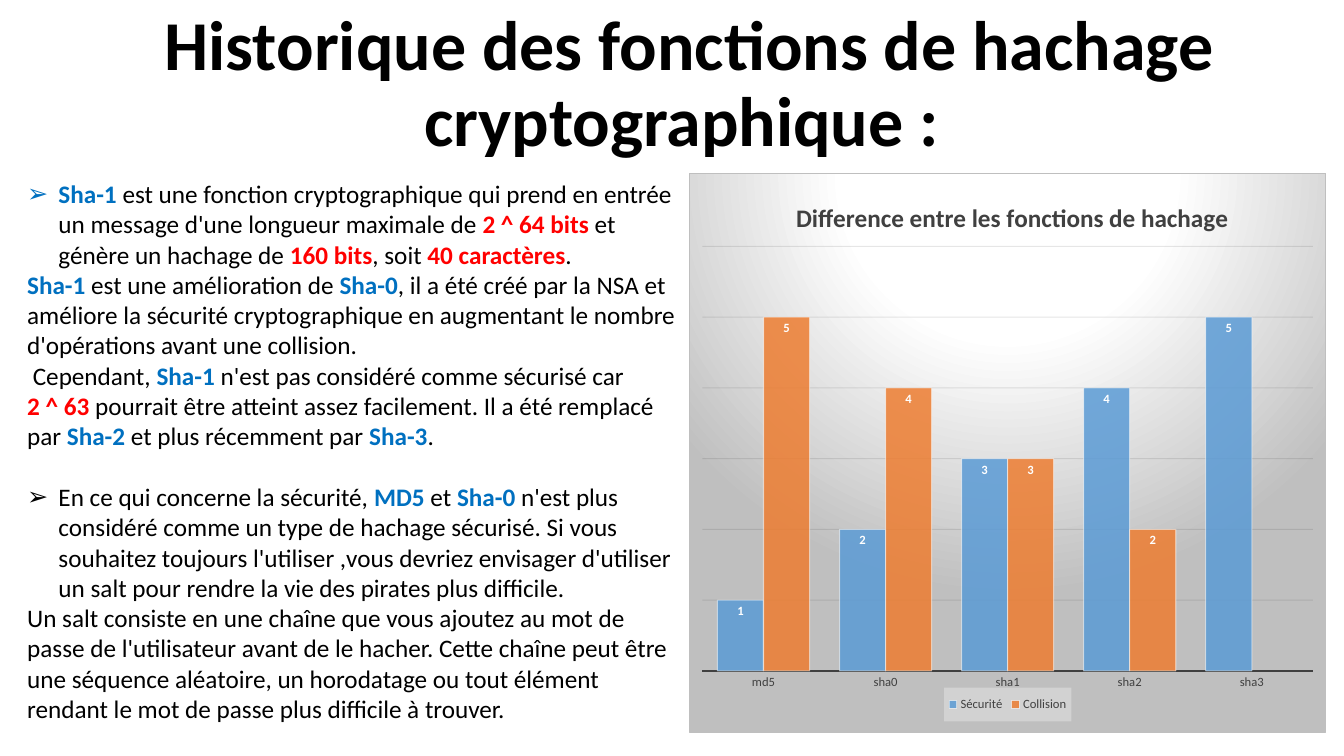
from pptx import Presentation
from pptx.chart.data import CategoryChartData
from pptx.dml.color import RGBColor
from pptx.enum import chart as ch, text
from pptx.oxml import parse_xml
from pptx.oxml.ns import nsdecls, qn
from pptx.util import Cm, Pt

FONT = "Calibri"
COLORS = {
    "black": "000000", "white": "FFFFFF", "blue": "0070C0", "red": "FF0000",
    "dark": "404040", "grid": "0D0D0D", "grey": "BFBFBF", "pale": "F2F2F2",
    "security": "5B9BD5", "collision": "ED7D31",
}
TITLE = "Historique des fonctions de hachage cryptographique : "
# Each paragraph: bullet shown, space before in points, runs (text, colour)
PARAGRAPHS = [
    (True, 0, [
        ("Sha-1 ", "blue"),
        ("est une fonction cryptographique qui prend en entrée un message "
         "d'une longueur maximale de ", "black"),
        ("2 ^ 64 bits ", "red"), ("et génère un hachage de ", "black"),
        ("160 bits", "red"), (", soit ", "black"),
        ("40 caractères", "red"), (".", "black")]),
    (False, 0, [
        ("Sha-1 ", "blue"), ("est une amélioration de ", "black"),
        ("Sha-0", "blue"),
        (", il a été créé par la NSA et améliore la sécurité cryptographique "
         "en augmentant le nombre d'opérations avant une collision.", "black")]),
    (False, 0, [
        (" Cependant, ", "black"), ("Sha-1 ", "blue"),
        ("n'est pas considéré comme sécurisé car", "black"), None,
        ("2 ^ 63 ", "red"),
        ("pourrait être atteint assez facilement. Il a été remplacé par ", "black"),
        ("Sha-2 ", "blue"), ("et plus récemment par ", "black"),
        ("Sha-3", "blue"), (".", "black")]),
    (True, 22, [
        ("En ce qui concerne la sécurité, ", "black"), ("MD5 ", "blue"),
        ("et ", "black"), ("Sha-0 ", "blue"),
        ("n'est plus considéré comme un type de hachage sécurisé. Si vous "
         "souhaitez toujours l'utiliser ,vous devriez envisager d'utiliser un "
         "salt pour rendre la vie des pirates plus difficile.", "black")]),
    (False, 0, [
        ("Un salt consiste en une chaîne que vous ajoutez au mot de passe de "
         "l'utilisateur avant de le hacher. Cette chaîne peut être une séquence "
         "aléatoire, un horodatage ou tout élément rendant le mot de passe plus "
         "difficile à trouver.", "black")]),
]
CATEGORIES = ["md5", "sha0", "sha1", "sha2", "sha3"]
SERIES = [("Sécurité", [1, 2, 3, 4, 5], "security"),
          ("Collision", [5, 4, 3, 2, None], "collision")]


def rgb(name):
    return RGBColor.from_string(COLORS[name])


def set_font(font, size, color, bold=False):
    for key, value in {"name": FONT, "size": Pt(size), "bold": bold}.items():
        setattr(font, key, value)
    font.color.rgb = rgb(color)


def set_line(line, color, width):
    line.color.rgb = rgb(color)
    line.width = Pt(width)


def set_alpha(container, percent):
    """Make the first solid colour below container partly transparent."""
    clr = next(container.iter(qn("a:srgbClr")))
    clr.append(parse_xml(f'<a:alpha {nsdecls("a")} val="{percent * 1000}"/>'))


def move(sp, left, top, width, height):
    sp.left, sp.top, sp.width, sp.height = map(Cm, (left, top, width, height))


def add_title(s):
    sp = s.shapes.title
    move(sp, -1.07, 0.33, 36.91, 3.68)
    tf = sp.text_frame
    tf.auto_size = text.MSO_AUTO_SIZE.NONE
    tf.vertical_anchor = text.MSO_ANCHOR.MIDDLE
    p = tf.paragraphs[0]
    p.alignment = text.PP_ALIGN.CENTER
    p.line_spacing = 0.9
    r = p.add_run()
    r.text = TITLE
    set_font(r.font, 50, "black", True)


def set_bullet(p, shown):
    pPr = p._p.get_or_add_pPr()
    indent = Cm(0.79) if shown else 0
    pPr.set("marL", str(indent))
    pPr.set("indent", str(-indent))
    tag = 'buChar char="➢"' if shown else "buNone"
    name, _, attrs = tag.partition(" ")
    pPr.append(parse_xml(f'<a:{name} {nsdecls("a")} {attrs}/>'))


def add_body(s):
    sp = s.placeholders[1]
    move(sp, 0.43, 4.37, 16.97, 14.1)
    tf = sp.text_frame
    tf.auto_size = text.MSO_AUTO_SIZE.NONE
    tf.vertical_anchor = text.MSO_ANCHOR.TOP
    for i, (bullet, before, runs) in enumerate(PARAGRAPHS):
        p = tf.add_paragraph() if i else tf.paragraphs[0]
        p.alignment = text.PP_ALIGN.LEFT
        p.line_spacing = 1.0
        p.space_before, p.space_after = Pt(before), Pt(0)
        set_bullet(p, bullet)
        for run in runs:
            if run is None:
                p.add_line_break()
                continue
            r = p.add_run()
            r.text, color = run
            set_font(r.font, 18, color, color != "black")


def set_layout(element, index, **fractions):
    """Give a chart part a manual layout, in fractions of the chart."""
    for old in element.findall(qn("c:layout")):
        element.remove(old)
    inner = '<c:layoutTarget val="inner"/>' if index == 0 else ""
    modes = '<c:xMode val="edge"/><c:yMode val="edge"/>'
    sizes = "".join(f'<c:{k} val="{v}"/>' for k, v in fractions.items())
    element.insert(index, parse_xml(
        f'<c:layout {nsdecls("c")}><c:manualLayout>{inner}{modes}{sizes}'
        '</c:manualLayout></c:layout>'))


def add_properties(element, content):
    """Insert shape properties just before the text properties of element."""
    element.find(qn("c:txPr")).addprevious(parse_xml(
        f'<c:spPr {nsdecls("c", "a")}>{content}</c:spPr>'))


def style_background(chart):
    stops = "".join(f'<a:gs pos="{pos * 1000}"><a:srgbClr val="{COLORS[c]}"/></a:gs>'
                    for pos, c in ((0, "white"), (39, "white"), (100, "grey")))
    add_properties(chart.element, f'''<a:gradFill><a:gsLst>{stops}</a:gsLst>
        <a:path path="circle"><a:fillToRect l="50000" t="-80000" r="50000"
        b="180000"/></a:path></a:gradFill><a:ln w="9525"><a:solidFill>
        <a:srgbClr val="{COLORS['grey']}"/></a:solidFill></a:ln>''')


def style_axes(chart):
    cat, val = chart.category_axis, chart.value_axis
    cat.major_tick_mark = ch.XL_TICK_MARK.NONE
    set_font(cat.tick_labels.font, 9, "dark")
    set_line(cat.format.line, "dark", 1.5)
    val.minimum_scale, val.maximum_scale, val.major_unit = 0, 6, 1
    val.visible = False
    grid = val.major_gridlines.format.line
    set_line(grid, "grid", 0.75)
    set_alpha(val.major_gridlines._xAx.find(qn("c:majorGridlines")), 10)


def style_series(ser, color):
    ser.format.fill.solid()
    ser.format.fill.fore_color.rgb = rgb(color)
    set_line(ser.format.line, "white", 0.75)
    spPr = ser._element.find(qn("c:spPr"))
    set_alpha(spPr.find(qn("a:solidFill")), 85)
    set_alpha(spPr.find(qn("a:ln")), 50)
    labels = ser.data_labels
    labels.show_value = True
    labels.position = ch.XL_LABEL_POSITION.INSIDE_END
    set_font(labels.font, 9, "white", True)


def add_hash_chart(s):
    data = CategoryChartData()
    data.categories = CATEGORIES
    for name, values, _ in SERIES:
        data.add_series(name, values)
    chart = s.shapes.add_chart(ch.XL_CHART_TYPE.COLUMN_CLUSTERED, Cm(17.37), Cm(4.37),
                               Cm(16.05), Cm(14.1), data).chart
    set_font(chart.font, 10, "black")
    style_background(chart)
    chart.has_title = True
    p = chart.chart_title.text_frame.paragraphs[0]
    r = p.add_run()
    r.text = "Difference entre les fonctions de hachage"
    set_font(r.font, 18, "dark", True)
    chart.has_legend = True
    chart.legend.position = ch.XL_LEGEND_POSITION.BOTTOM
    chart.legend.include_in_layout = False
    set_font(chart.legend.font, 9, "dark")
    style_axes(chart)
    plot = chart.plots[0]
    plot.gap_width, plot.overlap, plot.vary_by_categories = 65, 0, False
    for ser, (_, _, color) in zip(plot.series, SERIES):
        style_series(ser, color)
    title, area, legend = (chart.element.find(f".//{qn(tag)}")
                           for tag in ("c:title", "c:plotArea", "c:legend"))
    set_layout(title, 1, x=0.16, y=0.04)
    set_layout(area, 0, x=0.02, y=0.13, w=0.96, h=0.76)
    set_layout(legend, 1, x=0.4, y=0.92, w=0.2, h=0.06)
    add_properties(legend, f'''<a:solidFill><a:srgbClr val="{COLORS['pale']}">
        <a:alpha val="39000"/></a:srgbClr></a:solidFill>''')


def main():
    prs = Presentation()
    prs.slide_width, prs.slide_height = Cm(33.87), Cm(19.05)
    s = prs.slides.add_slide(prs.slide_layouts[1])
    add_title(s)
    add_hash_chart(s)
    add_body(s)
    prs.save("out.pptx")


if __name__ == "__main__":
    main()
